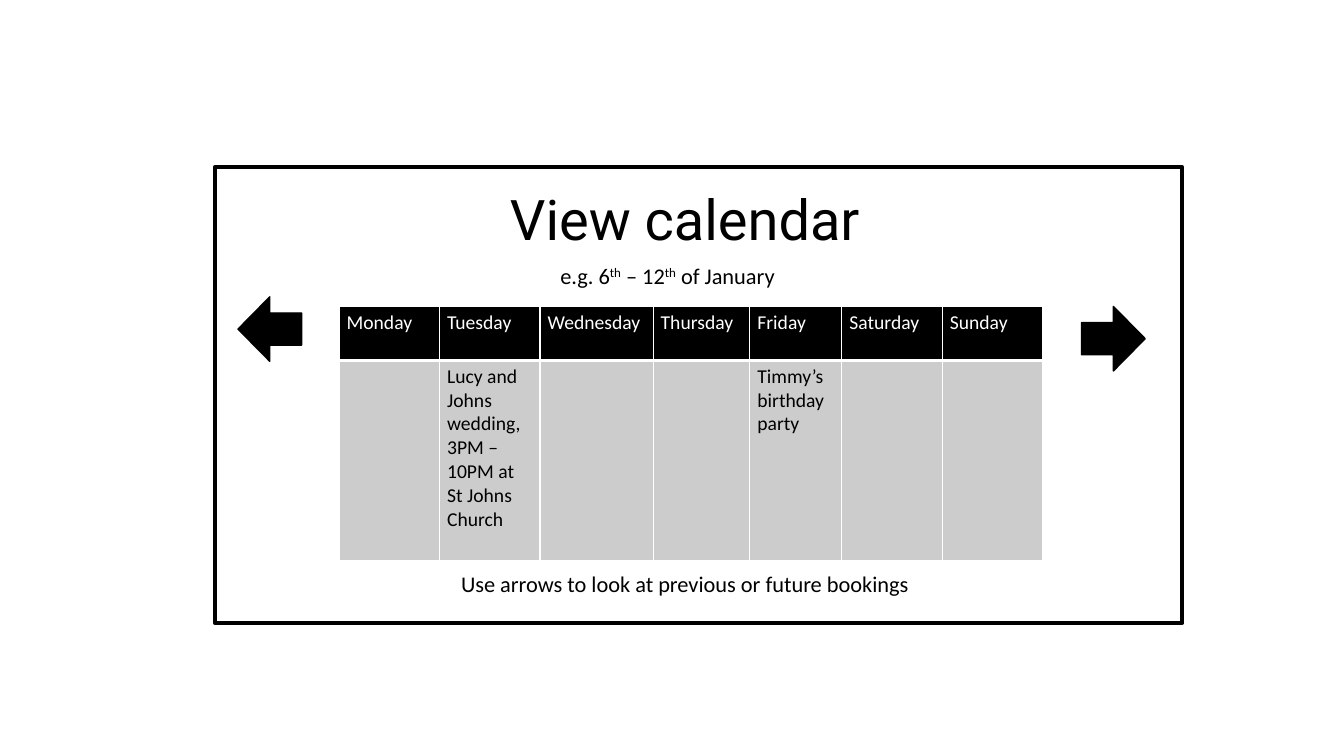
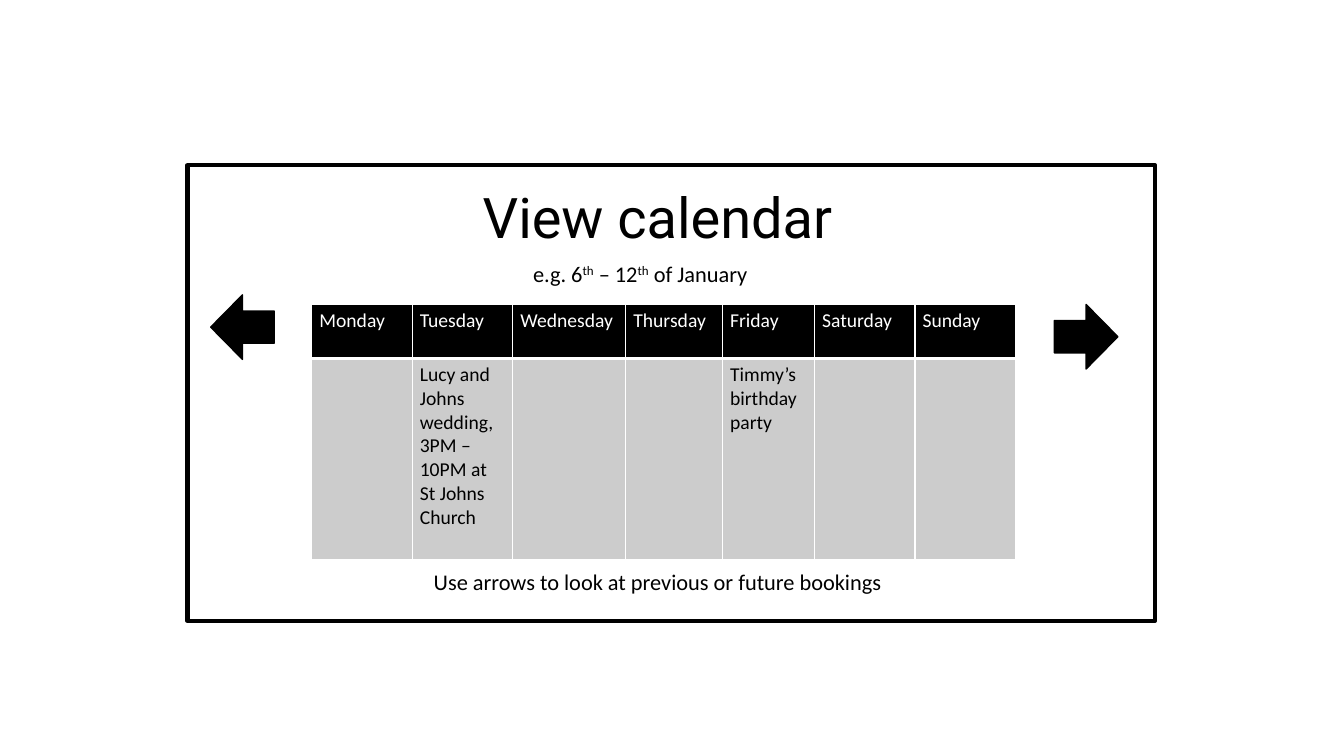
from lxml import etree
from pptx import Presentation
from pptx import util as u
from pptx.dml.color import RGBColor
from pptx.enum import shapes, text
from pptx.oxml.ns import qn

Pt = u.Pt
HUES = {"ink": "000000", "paper": "FFFFFF", "cell": "CCCCCC"}
FONTS = {
    "title": {"name": "Roboto", "size": Pt(40), "bold": False},
    "body": {"name": "Calibri", "size": Pt(16), "bold": False},
    "table": {"name": "Calibri", "size": Pt(14), "bold": False},
}
FRAME = (691.2, 325.4)
SPOTS = [(153.4, 119.5), (133.9, 118.1)]
DAYS = ["Monday", "Tuesday", "Wednesday", "Thursday", "Friday", "Saturday",
        "Sunday"]
EVENTS = {
    "Tuesday": "Lucy and Johns wedding, 3PM – 10PM at St Johns Church",
    "Friday": "Timmy’s birthday party",
}
WIDTHS = [71.8, 71.8, 80.8, 69.1, 65.7, 71.8, 71.8]
ROWS = [38.6, 143.3]
PADS = {"margin_left": Pt(5.4), "margin_right": Pt(5.4),
        "margin_top": Pt(3), "margin_bottom": Pt(3)}


def rgb(hue):
    """Return the named colour."""
    return RGBColor.from_string(HUES[hue])


def place(box, x, y, w, h):
    """Turn an area inside the box into slide lengths."""
    return [Pt(v) for v in (box[0] + x, box[1] + y, w, h)]


def write(para, words, kind, hue="ink", lift=False):
    """Add a styled run, raised when lift is set."""
    run = para.add_run()
    run.text = words
    for key, val in FONTS[kind].items():
        setattr(run.font, key, val)
    run.font.color.rgb = rgb(hue)
    if lift:
        run._r.get_or_add_rPr().set("baseline", "30000")


def label(slide, area, parts, kind, wrap=True):
    """Add a text box; every second part is superscript."""
    frame = slide.shapes.add_textbox(*area).text_frame
    frame.word_wrap = wrap
    frame.auto_size = text.MSO_AUTO_SIZE.SHAPE_TO_FIT_TEXT
    for i, part in enumerate(parts):
        write(frame.paragraphs[0], part, kind, lift=i % 2 == 1)


def block(slide, area, form, line, fill=None, turn=0):
    """Add an outlined shape, filled if a colour is given."""
    shape = slide.shapes.add_shape(form, *area)
    shape.shadow.inherit = False
    shape.rotation = turn
    shape.line.color.rgb = rgb("ink")
    shape.line.width = Pt(line)
    if fill:
        shape.fill.solid()
        shape.fill.fore_color.rgb = rgb(fill)
    else:
        shape.fill.background()


def edge(cell, base):
    """Draw white cell borders; base is the bottom width."""
    props = cell._tc.get_or_add_tcPr()
    for tag, width in (("lnL", 1), ("lnR", 1), ("lnT", 1), ("lnB", base)):
        line = etree.SubElement(props, qn("a:" + tag), w=str(Pt(width)))
        fill = etree.SubElement(line, qn("a:solidFill"))
        etree.SubElement(fill, qn("a:srgbClr"), val=HUES["paper"])


def week(slide, area):
    """Add the table of days and bookings."""
    grid = slide.shapes.add_table(len(ROWS), len(DAYS), *area).table
    for row, size in zip(grid.rows, ROWS):
        row.height = Pt(size)
    for c, day in enumerate(DAYS):
        grid.columns[c].width = Pt(WIDTHS[c])
        looks = [(day, "paper", "ink", 3),
                 (EVENTS.get(day), "ink", "cell", 1)]
        for r, (words, hue, fill, base) in enumerate(looks):
            cell = grid.cell(r, c)
            edge(cell, base)
            cell.fill.solid()
            cell.fill.fore_color.rgb = rgb(fill)
            for key, val in PADS.items():
                setattr(cell, key, val)
            if words:
                write(cell.text_frame.paragraphs[0], words, "table", hue)


def view(slide, box):
    """Build the calendar panel at the box's corner."""
    form = shapes.MSO_SHAPE
    block(slide, place(box, 0, 0, *FRAME), form.RECTANGLE, 3)
    label(slide, place(box, 203.8, 8.6, 273.6, 55.4), ["View calendar"],
          "title", wrap=False)
    label(slide, place(box, 239.8, 64.1, 174.2, 46),
          ["e.g. 6", "th", " – 12", "th", " of January"], "body")
    week(slide, place(box, 88.8, 99.4, sum(WIDTHS), sum(ROWS)))
    for x, y, turn in ((619.2, 99.4, 0), (16.6, 92.5, 180)):
        block(slide, place(box, x, y, 45.4, 46.1), form.RIGHT_ARROW, 1,
              "ink", turn)
    label(slide, place(box, 168.8, 284.4, 409, 46),
          ["Use arrows to look at previous or future bookings"], "body")


def main():
    """Build and save the deck."""
    deck = Presentation()
    deck.slide_width, deck.slide_height = Pt(960), Pt(540)
    for spot in SPOTS:
        view(deck.slides.add_slide(deck.slide_layouts[6]), spot)
    deck.save("out.pptx")


main()
